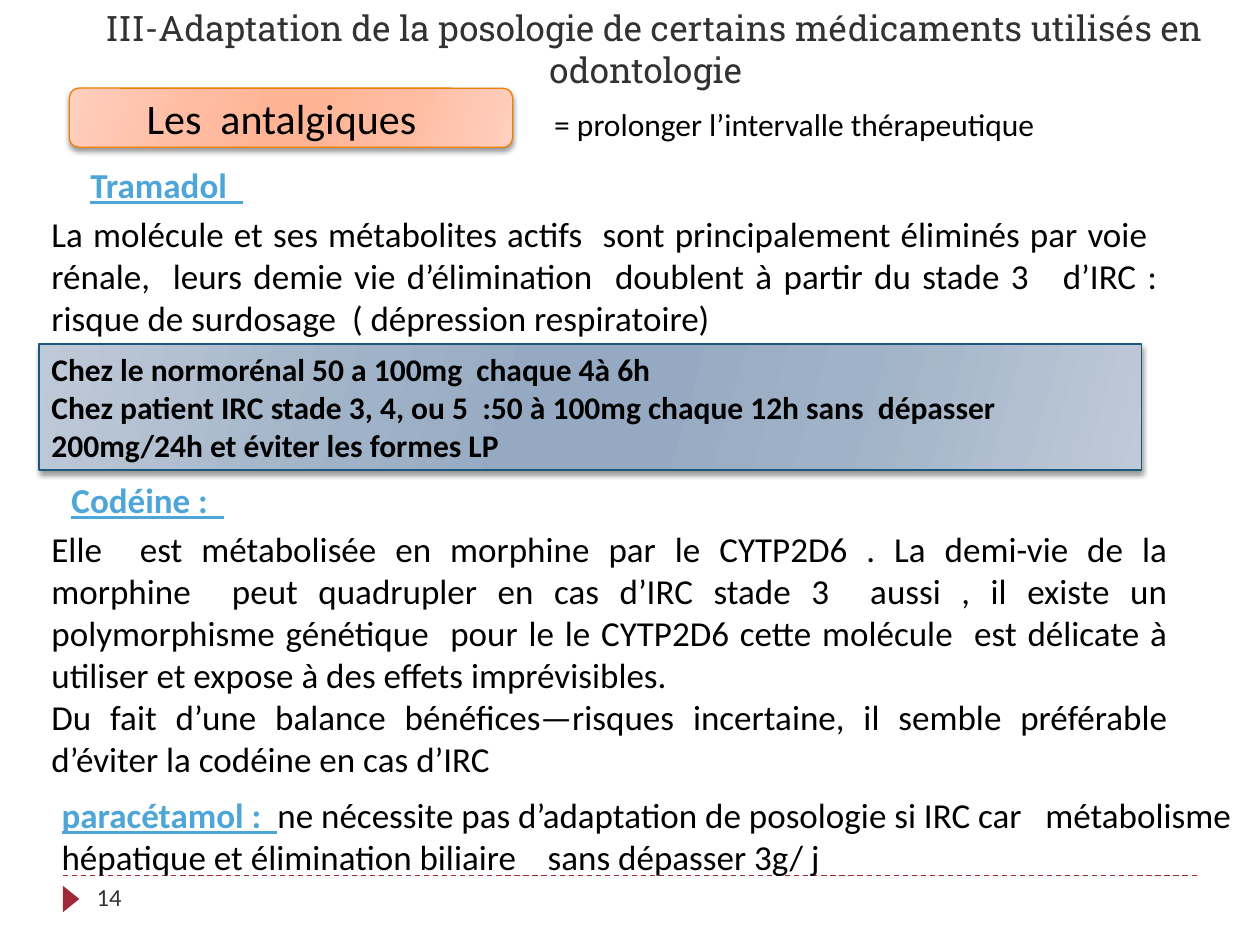
from dataclasses import dataclass

from lxml.etree import SubElement
from pptx import Presentation
from pptx.dml.color import RGBColor
from pptx.enum.dml import MSO_LINE
from pptx.enum.shapes import MSO_CONNECTOR, MSO_SHAPE
from pptx.enum.text import MSO_ANCHOR, MSO_AUTO_SIZE, PP_ALIGN
from pptx.oxml.ns import qn
from pptx.shapes.autoshape import Shape
from pptx.slide import Slide
from pptx.util import Pt

COLORS = {
    "black": "000000",
    "heading": "4EA5D8",
    "title": "323232",
    "accent": "9F2936",
    "orange": "F07F09",
    "orange_light": "FFCFBE",
    "orange_mid": "FFBBA0",
    "orange_deep": "FFB496",
    "navy": "1B587C",
    "blue_light": "BFCAD8",
    "blue_mid": "A0B2C7",
    "blue_deep": "95AAC2",
}
GRADIENT_POSITIONS = (0, 30, 45, 55, 73, 100)


@dataclass(frozen=True)
class Span:
    text: str
    size: float = 20
    color: str = "black"
    strong: bool = False
    underlined: bool = False
    font: str = "Calibri"


@dataclass(frozen=True)
class Block:
    box: tuple[float, float, float, float]
    paragraphs: tuple[tuple[Span, ...], ...]
    align: PP_ALIGN = PP_ALIGN.LEFT
    anchor: MSO_ANCHOR = MSO_ANCHOR.TOP
    wrap: bool = True
    grow: bool = True


@dataclass(frozen=True)
class Panel:
    block: Block
    geometry: MSO_SHAPE
    border: str
    tones: tuple[str, str, str]


def rgb(name: str) -> RGBColor:
    return RGBColor.from_string(COLORS[name])


def heading(text: str) -> Span:
    return Span(text, color="heading", strong=True, underlined=True)


def write_text(holder: Shape, block: Block) -> None:
    frame = holder.text_frame
    frame.word_wrap = block.wrap
    frame.vertical_anchor = block.anchor
    frame.auto_size = MSO_AUTO_SIZE.SHAPE_TO_FIT_TEXT if block.grow else MSO_AUTO_SIZE.NONE
    for index, spans in enumerate(block.paragraphs):
        paragraph = frame.add_paragraph() if index else frame.paragraphs[0]
        paragraph.alignment = block.align
        for span in spans:
            run = paragraph.add_run()
            run.text = span.text
            run.font.name = span.font
            run.font.size = Pt(span.size)
            run.font.bold = span.strong
            run.font.underline = span.underlined
            run.font.color.rgb = rgb(span.color)


def draw_block(slide: Slide, block: Block) -> None:
    write_text(slide.shapes.add_textbox(*map(Pt, block.box)), block)


def apply_gradient(shape: Shape, tones: tuple[str, str, str]) -> None:
    shape.fill.gradient()
    gradient = shape._element.spPr.find(qn("a:gradFill"))
    stops = gradient.find(qn("a:gsLst"))
    for stop in list(stops):
        stops.remove(stop)
    for position, tone in zip(GRADIENT_POSITIONS, tones + tones[::-1]):
        stop = SubElement(stops, qn("a:gs"), pos=str(position * 1000))
        SubElement(stop, qn("a:srgbClr"), val=COLORS[tone])
    gradient.find(qn("a:lin")).set("ang", str(16 * 60000))


def apply_shadow(shape: Shape) -> None:
    shape.shadow.inherit = False
    effects = shape._element.spPr.find(qn("a:effectLst"))
    shadow = SubElement(
        effects, qn("a:outerShdw"), blurRad=str(Pt(3)), dist=str(Pt(2)),
        dir=str(90 * 60000), rotWithShape="0",
    )
    tint = SubElement(shadow, qn("a:srgbClr"), val=COLORS["black"])
    SubElement(tint, qn("a:alpha"), val="40000")


def draw_panel(slide: Slide, panel: Panel) -> None:
    shape = slide.shapes.add_shape(panel.geometry, *map(Pt, panel.block.box))
    apply_gradient(shape, panel.tones)
    shape.line.color.rgb = rgb(panel.border)
    shape.line.width = Pt(0.75)
    apply_shadow(shape)
    write_text(shape, panel.block)


def draw_footer(slide: Slide) -> None:
    rule = slide.shapes.add_connector(
        MSO_CONNECTOR.STRAIGHT, Pt(36), Pt(500.4), Pt(684), Pt(500.4)
    )
    rule.line.color.rgb = rgb("accent")
    rule.line.width = Pt(0.75)
    rule.line.dash_style = MSO_LINE.DASH
    SubElement(rule._element.spPr, qn("a:effectLst"))

    marker = slide.shapes.add_shape(
        MSO_SHAPE.ISOSCELES_TRIANGLE, Pt(33.1), Pt(509), Pt(15.1), Pt(9.4)
    )
    marker.rotation = 90
    marker.fill.solid()
    marker.fill.fore_color.rgb = rgb("accent")
    marker.line.fill.background()
    marker.shadow.inherit = False


TITLE = Block(
    (0, -16.6, 748, 72),
    ((Span("III-Adaptation de la posologie de certains médicaments utilisés en odontologie  ",
           color="title", font="Roboto Slab"),),),
    PP_ALIGN.CENTER, MSO_ANCHOR.BOTTOM, grow=False,
)
DRUG_CLASS = Panel(
    Block((39.6, 50.4, 253.4, 33.8), ((Span("Les  antalgiques  ", 24),),),
          PP_ALIGN.CENTER, MSO_ANCHOR.MIDDLE, grow=False),
    MSO_SHAPE.ROUNDED_RECTANGLE, "orange", ("orange_light", "orange_mid", "orange_deep"),
)
DOSAGE = Panel(
    Block((22.3, 196.6, 630, 72), (
        (Span("Chez le normorénal 50 a 100mg  chaque 4à 6h", 18, strong=True),),
        (Span("Chez patient IRC stade 3, 4, ou 5  :50 à 100mg chaque 12h sans  dépasser "
              "200mg/24h et éviter les formes LP", 18, strong=True),),
    ), anchor=MSO_ANCHOR.MIDDLE, grow=False),
    MSO_SHAPE.RECTANGLE, "navy", ("blue_light", "blue_mid", "blue_deep"),
)
TRAMADOL = (
    Block((44.6, 90, 360, 31.5), ((heading("Tramadol  "),),)),
    Block((22.3, 118.1, 646.6, 128.2), ((Span(
        "La molécule et ses métabolites actifs  sont principalement éliminés par voie  "
        "rénale,  leurs demie vie d’élimination  doublent à partir du stade 3   d’IRC : "
        "risque de surdosage  ( dépression respiratoire) "),),), PP_ALIGN.JUSTIFY),
)
REMAINING = (
    Block((309.6, 56.2, 296.6, 29.1),
          ((Span("= prolonger l’intervalle thérapeutique", 18),),), wrap=False),
    Block((22.3, 298.1, 652.3, 152.6), (
        (Span("Elle  est métabolisée en morphine par le CYTP2D6 . La demi-vie de la morphine  "
              "peut quadrupler en cas d’IRC stade 3  aussi , il existe un polymorphisme "
              "génétique  pour le le CYTP2D6 cette molécule  est délicate à utiliser et "
              "expose à des effets imprévisibles. "),),
        (Span("Du fait d’une balance bénéfices—risques incertaine, il semble préférable "
              "d’éviter la codéine en cas d’IRC"),),
    ), PP_ALIGN.JUSTIFY),
    Block((33.8, 270, 360, 31.5), ((heading("Codéine :  "),),)),
    Block((28.1, 450, 691.9, 55.4), ((
        heading("paracétamol :  "),
        Span("ne nécessite pas d’adaptation de posologie si IRC car   métabolisme "
             "hépatique et élimination biliaire    sans dépasser 3g/ j"),
    ),)),
    Block((48.2, 500.4, 156.2, 28.8), ((Span("14", 14, "title"),),), grow=False),
)


def main() -> None:
    presentation = Presentation()
    presentation.slide_width = Pt(720)
    presentation.slide_height = Pt(540)
    slide = presentation.slides.add_slide(presentation.slide_layouts[6])
    draw_footer(slide)
    draw_block(slide, TITLE)
    draw_panel(slide, DRUG_CLASS)
    for block in TRAMADOL:
        draw_block(slide, block)
    draw_panel(slide, DOSAGE)
    for block in REMAINING:
        draw_block(slide, block)
    presentation.save("out.pptx")


if __name__ == "__main__":
    main()
